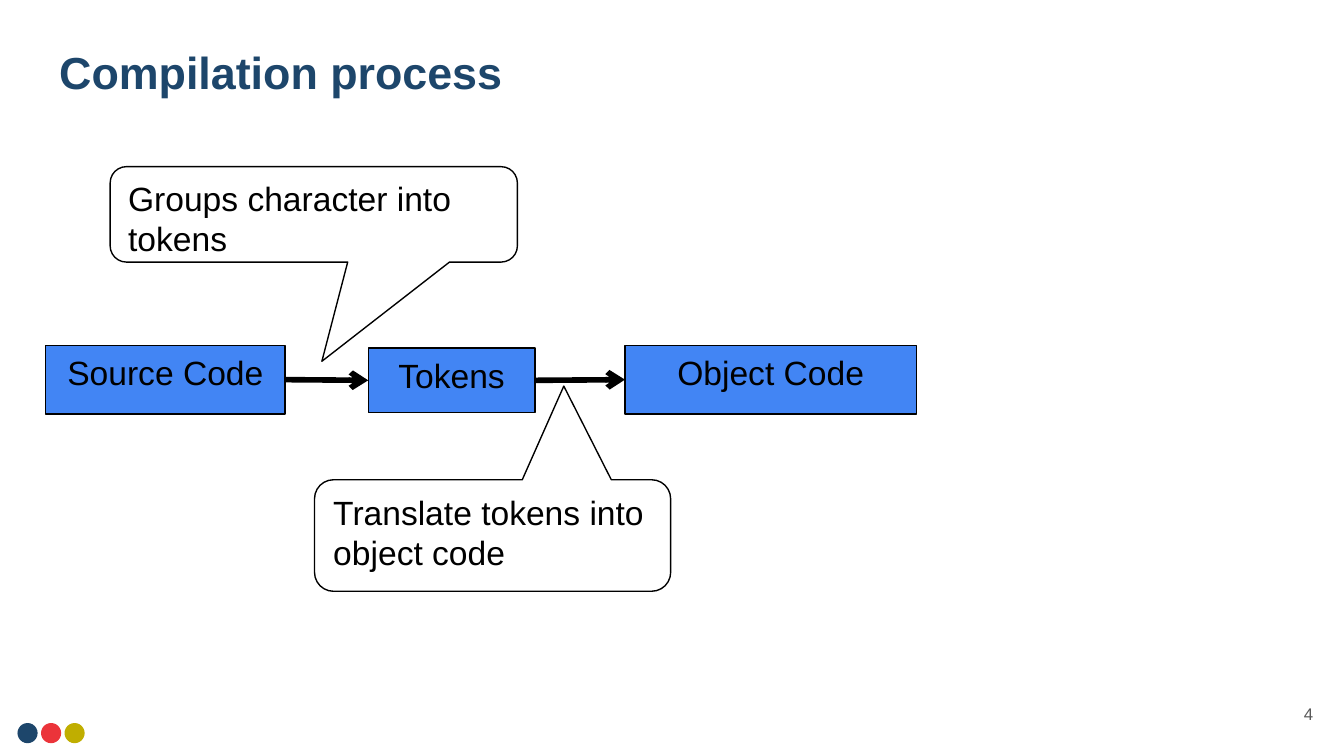
"""Build the compilation process slide."""
from lxml.etree import SubElement
from pptx import Presentation
from pptx.dml.color import RGBColor
from pptx.enum.shapes import MSO_CONNECTOR, MSO_SHAPE
from pptx.enum.text import MSO_ANCHOR, PP_ALIGN
from pptx.oxml.ns import qn
from pptx.util import Inches, Pt

NAVY = RGBColor(0x1D, 0x46, 0x6B)
RED = RGBColor(0xEB, 0x34, 0x3A)
GOLD = RGBColor(0xC0, 0xAE, 0x00)
BLUE = RGBColor(0x42, 0x85, 0xF4)
GREY = RGBColor(0x59, 0x59, 0x59)
BLACK = RGBColor(0, 0, 0)
WHITE = RGBColor(255, 255, 255)

TITLE = "Compilation process"
PAGE = "4"
DOTS = [NAVY, RED, GOLD]
STAGES = [
    ("Source Code", (0.34, 2.57, 1.78, 0.51)),
    ("Tokens", (2.74, 2.59, 1.24, 0.48)),
    ("Object Code", (4.65, 2.57, 2.17, 0.51)),
]
NOTES = [
    ("Groups character into tokens", (0.82, 1.24, 3.03, 0.71), (0.02, 1.54, 0.17)),
    ("Translate tokens into object code", (2.34, 3.57, 2.65, 0.83), (0.2, -1.34, 0.17)),
]
BODY = {"name": "Arial", "size": Pt(18)}
HEAD = {"name": "Arial", "size": Pt(24), "bold": True}
FOOT = {"name": "Arial", "size": Pt(9)}


def write(shape, text, form, color, align=PP_ALIGN.LEFT, anchor=MSO_ANCHOR.TOP, pad=0.05):
    frame = shape.text_frame
    frame.text = text
    frame.word_wrap = True
    frame.vertical_anchor = anchor
    frame.margin_left = frame.margin_right = Inches(0.1)
    frame.margin_top = frame.margin_bottom = Inches(pad)
    para = frame.paragraphs[0]
    para.alignment = align
    font = para.runs[0].font
    for key, value in form.items():
        setattr(font, key, value)
    font.color.rgb = color


def draw(slide, kind, box, fill, line=None):
    shape = slide.shapes.add_shape(kind, *map(Inches, box))
    shape.shadow.inherit = False
    shape.fill.solid()
    shape.fill.fore_color.rgb = fill
    if line is None:
        shape.line.fill.background()
    else:
        shape.line.color.rgb = line
        shape.line.width = Pt(0.75)
    return shape


def link(slide, start, end):
    arrow = slide.shapes.add_connector(MSO_CONNECTOR.STRAIGHT, 0, 0, 0, 0)
    arrow.begin_connect(start, 3)
    arrow.end_connect(end, 1)
    arrow.line.color.rgb = BLACK
    arrow.line.width = Pt(3)
    SubElement(arrow.line._get_or_add_ln(), qn("a:tailEnd"), type="arrow")
    SubElement(arrow._element.spPr, qn("a:effectLst"))


def main():
    deck = Presentation()
    deck.slide_width = Inches(10)
    deck.slide_height = deck.slide_width * 9 // 16
    slide = deck.slides.add_slide(deck.slide_layouts[5])

    for i, color in enumerate(DOTS):
        draw(slide, MSO_SHAPE.OVAL, (0.13 + i * 0.35 / 2, 5.38, 0.15, 0.15), color)

    title = slide.shapes.title
    title.left, title.top, title.width, title.height = map(Inches, (0.34, 0.23, 9.32, 0.61))
    write(title, TITLE, HEAD, NAVY, anchor=MSO_ANCHOR.MIDDLE, pad=0.1)
    page = slide.shapes.add_textbox(*map(Inches, (9.27, 5.1, 0.6, 0.43)))
    write(page, PAGE, FOOT, GREY, PP_ALIGN.RIGHT, MSO_ANCHOR.MIDDLE, 0.1)

    boxes = []
    for text, box in STAGES:
        shape = draw(slide, MSO_SHAPE.RECTANGLE, box, BLUE, BLACK)
        write(shape, text, BODY, BLACK, PP_ALIGN.CENTER)
        boxes.append(shape)
    for start, end in zip(boxes, boxes[1:]):
        link(slide, start, end)

    for text, box, tip in NOTES:
        shape = draw(slide, MSO_SHAPE.ROUNDED_RECTANGULAR_CALLOUT, box, WHITE, BLACK)
        for i, value in enumerate(tip):
            shape.adjustments[i] = value
        write(shape, text, BODY, BLACK)

    deck.save("out.pptx")


if __name__ == "__main__":
    main()
